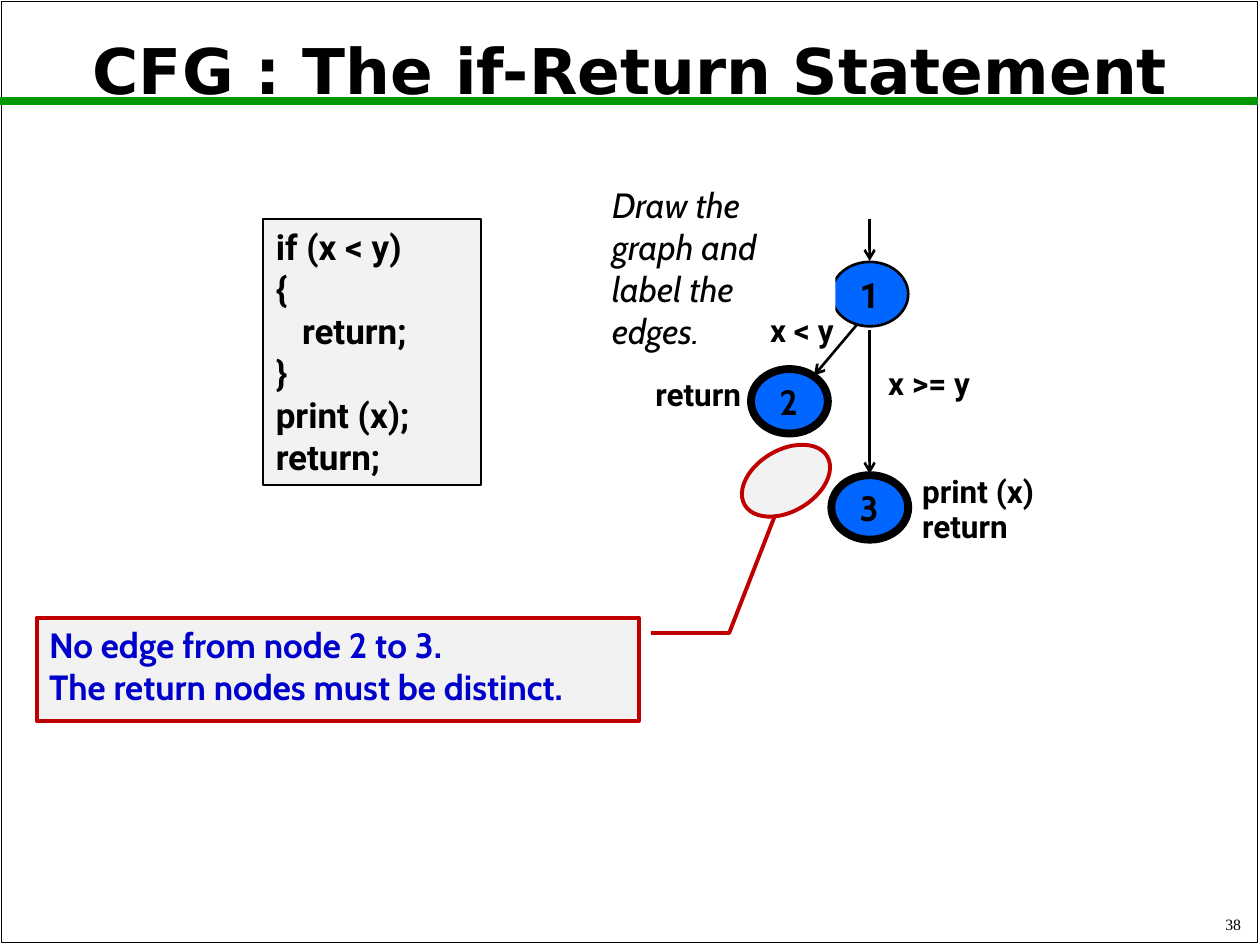
from lxml import etree
from pptx import Presentation
from pptx import util as u
from pptx.dml import color as col
from pptx.enum import shapes as sh, text as tx
from pptx.oxml import ns

INK = {"black": "000000", "white": "FFFFFF", "gray": "F2F2F2", "blue": "0066FF",
       "navy": "0000CC", "red": "C00000", "green": "009900"}
BOLD = {"name": "Roboto", "size": u.Pt(20), "bold": True}
TAG = {**BOLD, "size": u.Pt(18)}
CABIN = {**BOLD, "name": "Cabin"}
LEFT, MID, RIGHT = tx.PP_ALIGN.LEFT, tx.PP_ALIGN.CENTER, tx.PP_ALIGN.RIGHT
TOP = tx.MSO_ANCHOR.TOP
OVAL, RECT = sh.MSO_SHAPE.OVAL, sh.MSO_SHAPE.RECTANGLE


def rgb(key):
    return col.RGBColor.from_string(INK[key])


def put(item, fmt):
    for key, val in fmt.items():
        setattr(item, key, val)


def write(shape, lines, font, ink="black", para=None, wrap=True, anchor=TOP):
    frame = shape.text_frame
    put(frame, {"word_wrap": wrap, "auto_size": tx.MSO_AUTO_SIZE.NONE,
                "vertical_anchor": anchor, "text": "\n".join(lines)})
    for part in frame.paragraphs:
        put(part, {"alignment": LEFT, **(para or {})})
        for run in part.runs:
            put(run.font, font)
            run.font.color.rgb = rgb(ink)
    return frame


def label(slide, box, lines, font, **opts):
    note = slide.shapes.add_textbox(*map(u.Cm, box))
    return write(note, lines, font, **opts)


def block(slide, kind, box, fill=None, line=None, width=1):
    shape = slide.shapes.add_shape(kind, *map(u.Cm, box))
    shape.shadow.inherit = False
    if fill:
        shape.fill.solid()
        shape.fill.fore_color.rgb = rgb(fill)
    else:
        shape.fill.background()
    if line:
        shape.line.color.rgb = rgb(line)
        shape.line.width = u.Pt(width)
    else:
        shape.line.fill.background()
    return shape


def link(slide, ends, ink="black", width=1.5, arrow=True):
    line = slide.shapes.add_connector(sh.MSO_CONNECTOR.STRAIGHT, *map(u.Cm, ends))
    line.line.color.rgb = rgb(ink)
    line.line.width = u.Pt(width)
    if arrow:
        etree.SubElement(line.line._get_or_add_ln(), ns.qn("a:tailEnd"), type="arrow")
    etree.SubElement(line._element.spPr, ns.qn("a:effectLst"))


def header(slide, box):
    x, y, w, h = box
    block(slide, RECT, box, line="black")
    link(slide, (0, y + 2, x + w, y + 2), "green", 4.5, False)
    label(slide, (x + w - 5.36, y + h - 0.79, 5.28, 0.74), ["38"],
          {"name": "Times New Roman", "size": u.Pt(9)}, para={"alignment": RIGHT},
          wrap=False, anchor=tx.MSO_ANCHOR.BOTTOM)
    title = slide.shapes.title
    put(title, dict(zip(("left", "top", "width", "height"),
                        map(u.Cm, (x + 0.1, y + 0.25, 25.15, 2.41)))))
    write(title, ["CFG : The if-Return Statement"],
          {"name": "DejaVu Sans", "size": u.Pt(36), "bold": True},
          para={"alignment": MID, "line_spacing": 0.9}, anchor=tx.MSO_ANCHOR.MIDDLE)
    slide.shapes._spTree.append(title._element)


def code(slide, box):
    shape = block(slide, RECT, box, "gray", "black")
    frame = write(shape, ["if (x < y)", "{", "return;", "}", "print (x);", "return;"], BOLD)
    frame.paragraphs[2]._p.get_or_add_pPr().set("marL", str(u.Cm(0.53)))


def node(slide, x, y, name, width, font):
    block(slide, OVAL, (x, y, 1.55, 1.3), "blue", "black", width)
    label(slide, (x + 0.32, y + 0.1, 0.91, 1.12), [name], font, wrap=False)


def graph(slide, box):
    x, y = box[:2]
    for dx, dy, name, width, font in ((4.47, 5.16, "3", 4.5, CABIN),
                                      (4.47, 0.86, "1", 1.5, BOLD),
                                      (2.85, 3.02, "2", 4.5, CABIN)):
        node(slide, x + dx, y + dy, name, width, font)
    for ax, ay, bx, by in ((4.98, 2.13, 4.12, 3.15), (5.24, 0, 5.24, 0.84),
                           (5.24, 2.23, 5.24, 5.13)):
        link(slide, (x + ax, y + ay, x + bx, y + by))
    for dx, dy, w, h, lines, side, gap in (
            (5.08, 2.79, 2.72, 1.02, ["x >= y"], MID, 1),
            (2.72, 1.73, 2.31, 1.02, ["x < y"], MID, 1),
            (0, 3.35, 2.9, 0.64, ["return"], RIGHT, 0.5),
            (6.05, 5.31, 2.9, 1.42, ["print (x)", "return"], LEFT, 0.5)):
        label(slide, (x + dx, y + dy, w, h), lines, TAG,
              para={"alignment": side, "line_spacing": gap, "space_before": u.Pt(9)})


def remark(slide, box):
    x, y = box[:2]
    call = block(slide, sh.MSO_SHAPE.LINE_CALLOUT_2, box, "gray", "red", 2.25)
    for i, val in enumerate((0.15, 1.02, 0.15, 1.15, -1.05, 1.23)):
        call.adjustments[i] = val
    write(call, ["No edge from node 2 to 3.", "The return nodes must be distinct."],
          CABIN, "navy")
    ring = block(slide, OVAL, (x + 14.14, y - 3.38, 1.93, 1.24), "gray", "red", 2.25)
    ring.rotation = 329.5


def prompt(slide, box):
    write(block(slide, RECT, box, "white"), ["Draw the graph and label the edges."],
          {**CABIN, "bold": False, "italic": True})


def main():
    deck = Presentation()
    put(deck, {"slide_width": u.Cm(25.4), "slide_height": u.Cm(19.05)})
    slide = deck.slides.add_slide(deck.slide_layouts[5])
    header(slide, (0.03, 0.03, 25.32, 18.97))
    code(slide, (5.31, 4.42, 4.39, 5.36))
    graph(slide, (12.29, 4.42, 8.95, 6.73))
    remark(slide, (0.74, 12.45, 12.14, 2.08))
    prompt(slide, (12.09, 3.58, 4.75, 2.82))
    deck.save("out.pptx")


if __name__ == "__main__":
    main()
